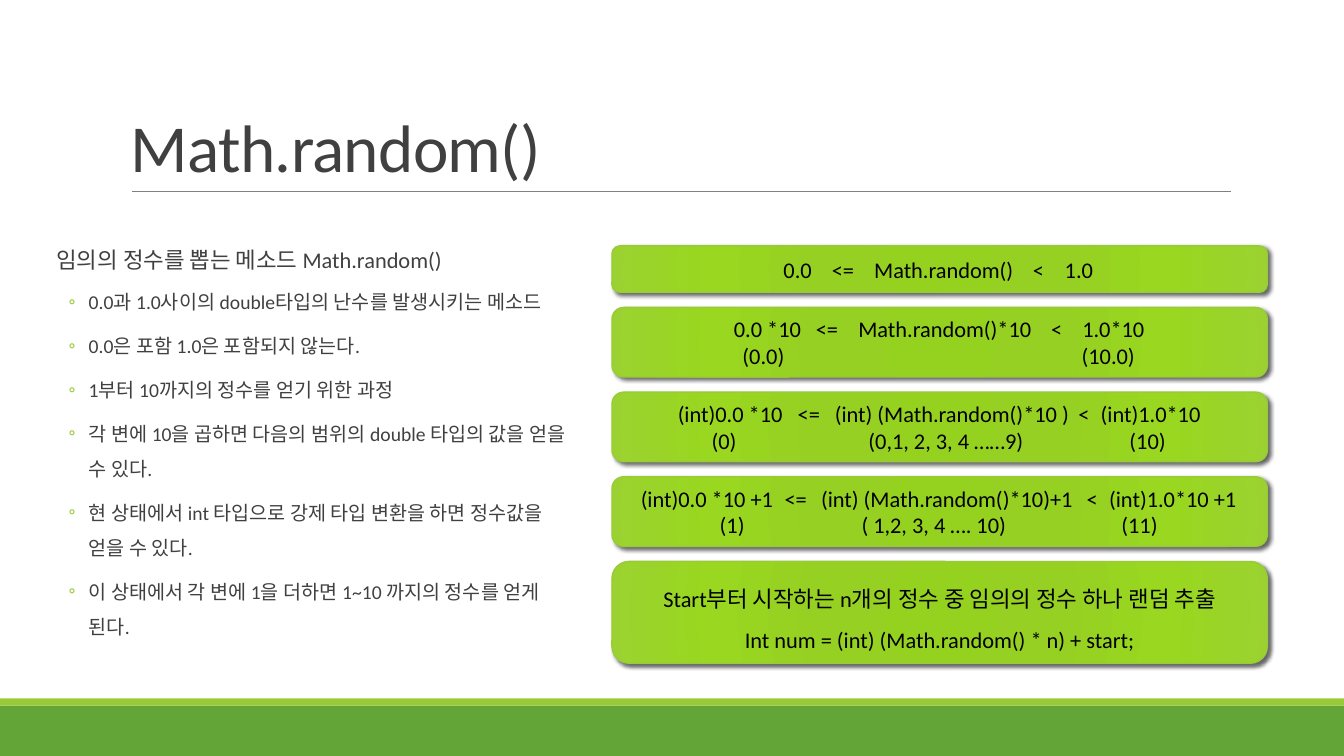
import dataclasses
import typing

import lxml.etree
import pptx
import pptx.dml.color
import pptx.enum.shapes
import pptx.enum.text
import pptx.oxml.ns
import pptx.util

Inches = pptx.util.Inches
Pt = pptx.util.Pt
Shape = pptx.enum.shapes.MSO_SHAPE
Align = pptx.enum.text.PP_ALIGN
Anchor = pptx.enum.text.MSO_ANCHOR
qn = pptx.oxml.ns.qn

LIME, GREEN, GREY, DARK, BLACK = "99CB38", "63A537", "808080", "404040", "000000"
FONT = "Calibri"
LEFT, WIDE, TOP, GAP = 6.07, 6.5, 2.44, 0.15
EDGE = 6.2  # where text starts inside a rounded box
STOPS = ((0, "95D220"), (34, "96D023"), (70, "99D720"), (100, "9BD231"))


@dataclasses.dataclass
class Row:
    """One line of a box; cells are centred on the slide positions in mids."""
    cells: tuple[str, ...]
    mids: tuple[float, ...] = ()


@dataclasses.dataclass
class Box:
    high: float
    rows: tuple[Row, ...]
    space: float = 1.0


@dataclasses.dataclass
class Band:
    top: float
    high: float
    tint: str


BANDS = (Band(7, 0.5, GREEN), Band(6.93, 0.07, LIME))
HEAD = "임의의 정수를 뽑는 메소드 Math.random()"
POINTS = (
    "0.0과 1.0사이의 double타입의 난수를 발생시키는 메소드",
    "0.0은 포함 1.0은 포함되지 않는다.",
    "1부터 10까지의 정수를 얻기 위한 과정",
    "각 변에 10을 곱하면 다음의 범위의 double 타입의 값을 얻을 수 있다.",
    "현 상태에서 int 타입으로 강제 타입 변환을 하면 정수값을 얻을 수 있다.",
    "이 상태에서 각 변에 1을 더하면 1~10 까지의 정수를 얻게 된다.",
)
BOXES = (
    Box(0.46, (
        Row(("0.0", "<=", "Math.random()", "<", "1.0"),
            (7.92, 8.37, 9.37, 10.31, 10.71)),)),
    Box(0.69, (
        Row(("0.0 *10", "<=", "Math.random()*10", "<", "1.0*10"),
            (7.61, 8.2, 9.37, 10.48, 11.04)),
        Row(("(0.0)", "(10.0)"), (7.57, 10.99)))),
    Box(0.69, (
        Row(("(int)0.0 *10", "<=", "(int) (Math.random()*10 )", "<", "(int)1.0*10"),
            (7.24, 8.02, 9.44, 10.75, 11.41)),
        Row(("(0)", "(0,1, 2, 3, 4 ……9)", "(10)"), (7.18, 9.38, 11.38)))),
    Box(0.69, (
        Row(("(int)0.0 *10 +1", "<=", "(int) (Math.random()*10)+1", "<", "(int)1.0*10 +1"),
            (7.01, 7.89, 9.39, 10.83, 11.63)),
        Row(("(1)", "( 1,2, 3, 4 …. 10)", "(11)"), (7.26, 9.26, 11.3)))),
    Box(1.01, (
        Row(("Start부터 시작하는 n개의 정수 중 임의의 정수 하나 랜덤 추출",)),
        Row(("Int num = (int) (Math.random() * n) + start;",))), 1.5),
)


def hue(code: str) -> pptx.dml.color.RGBColor:
    return pptx.dml.color.RGBColor.from_string(code)


def put(item: typing.Any, vals: dict[str, typing.Any]) -> None:
    for name, val in vals.items():
        setattr(item, name, val)


def sub(node: typing.Any, tag: str, **vals: typing.Any) -> typing.Any:
    return lxml.etree.SubElement(node, qn(tag), {k: str(v) for k, v in vals.items()})


def tone(node: typing.Any, code: str) -> typing.Any:
    return sub(node, "a:srgbClr", val=code)


def write(para: typing.Any, text: str, size: float, code: str) -> typing.Any:
    run = para.add_run()
    run.text = text
    put(run.font, {"name": FONT, "size": Pt(size)})
    run.font.color.rgb = hue(code)
    return run


def frame(slide: typing.Any, x: float, y: float, w: float, h: float) -> typing.Any:
    text = slide.shapes.add_textbox(Inches(x), Inches(y), Inches(w), Inches(h)).text_frame
    text.word_wrap = True
    return text


def form(slide: typing.Any, kind: typing.Any, x: float, y: float,
         w: float, h: float) -> typing.Any:
    shape = slide.shapes.add_shape(kind, Inches(x), Inches(y), Inches(w), Inches(h))
    shape.shadow.inherit = False
    return shape


def band(slide: typing.Any, part: Band) -> None:
    shape = form(slide, Shape.RECTANGLE, 0, part.top, 13.33, part.high)
    shape.fill.solid()
    shape.fill.fore_color.rgb = hue(part.tint)
    shape.line.fill.background()


def rule(slide: typing.Any) -> None:
    line = slide.shapes.add_connector(
        pptx.enum.shapes.MSO_CONNECTOR.STRAIGHT,
        Inches(1.31), Inches(1.9), Inches(12.21), Inches(1.9))
    line.line.color.rgb = hue(GREY)
    line.line.width = Pt(0.5)
    sub(line._element.spPr, "a:effectLst")


def title(slide: typing.Any) -> None:
    text = frame(slide, 1.2, 0.31, 11, 1.59)
    text.vertical_anchor = Anchor.BOTTOM
    para = text.paragraphs[0]
    para.line_spacing = 0.85
    run = write(para, "Math.random()", 48, DARK)
    run.font._element.set("spc", "-50")


def body(slide: typing.Any) -> None:
    text = frame(slide, 0.46, 2.26, 5.24, 4.4)
    put(text, {"margin_left": 0, "margin_right": 0})
    para = text.paragraphs[0]
    para._p.get_or_add_pPr().set("marL", str(Inches(0.1)))
    put(para, {"line_spacing": 1.5, "space_after": Pt(2)})
    write(para, HEAD, 16, DARK)
    for point in POINTS:
        para = text.add_paragraph()
        prop = para._p.get_or_add_pPr()
        put(para, {"level": 1})
        prop.set("marL", str(Inches(0.42)))
        prop.set("indent", str(Inches(-0.2)))
        tone(sub(prop, "a:buClr"), LIME)
        sub(prop, "a:buFont", typeface=FONT)
        sub(prop, "a:buChar", char="◦")
        put(para, {"line_spacing": 1.5, "space_before": Pt(2), "space_after": Pt(4)})
        write(para, point, 14, DARK)


def glow(shape: typing.Any) -> None:
    """Give a box its radial fill, outline and soft shadow."""
    shape.line.color.rgb = hue(LIME)
    shape.line.width = Pt(1)
    prop = shape._element.spPr
    fill = lxml.etree.Element(qn("a:gradFill"), rotWithShape="1")
    stops = sub(fill, "a:gsLst")
    for pos, code in STOPS:
        tone(sub(stops, "a:gs", pos=pos * 1000), code)
    ray = sub(fill, "a:path", path="circle")
    sub(ray, "a:fillToRect", l=100000, t=100000, r=100000, b=100000)
    prop.find(qn("a:prstGeom")).addnext(fill)
    cast = sub(prop.find(qn("a:effectLst")), "a:outerShdw", blurRad=Pt(3), dist=Pt(2),
               dir=45 * 60000, algn="tl", rotWithShape=0)
    sub(tone(cast, BLACK), "a:alpha", val=60000)


def panel(slide: typing.Any, box: Box, top: float) -> None:
    shape = form(slide, Shape.ROUNDED_RECTANGLE, LEFT, top, WIDE, box.high)
    glow(shape)
    text = shape.text_frame
    put(text, {"word_wrap": True, "vertical_anchor": Anchor.MIDDLE})
    for num, row in enumerate(box.rows):
        para = text.add_paragraph() if num else text.paragraphs[0]
        line = "\t".join(row.cells)
        if row.mids:
            line = "\t" + line
            tabs = sub(para._p.get_or_add_pPr(), "a:tabLst")
            for mid in row.mids:
                sub(tabs, "a:tab", pos=Inches(mid - EDGE), algn="ctr")
        put(para, {"alignment": Align.LEFT if row.mids else Align.CENTER,
                   "line_spacing": box.space})
        write(para, line, 16, BLACK)


def main() -> None:
    deck = pptx.Presentation()
    put(deck, {"slide_width": Inches(13.33), "slide_height": Inches(7.5)})
    slide = deck.slides.add_slide(deck.slide_layouts[6])
    for part in BANDS:
        band(slide, part)
    rule(slide)
    title(slide)
    body(slide)
    top = TOP
    for box in BOXES:
        panel(slide, box, top)
        top += box.high + GAP
    deck.save("out.pptx")


if __name__ == "__main__":
    main()
